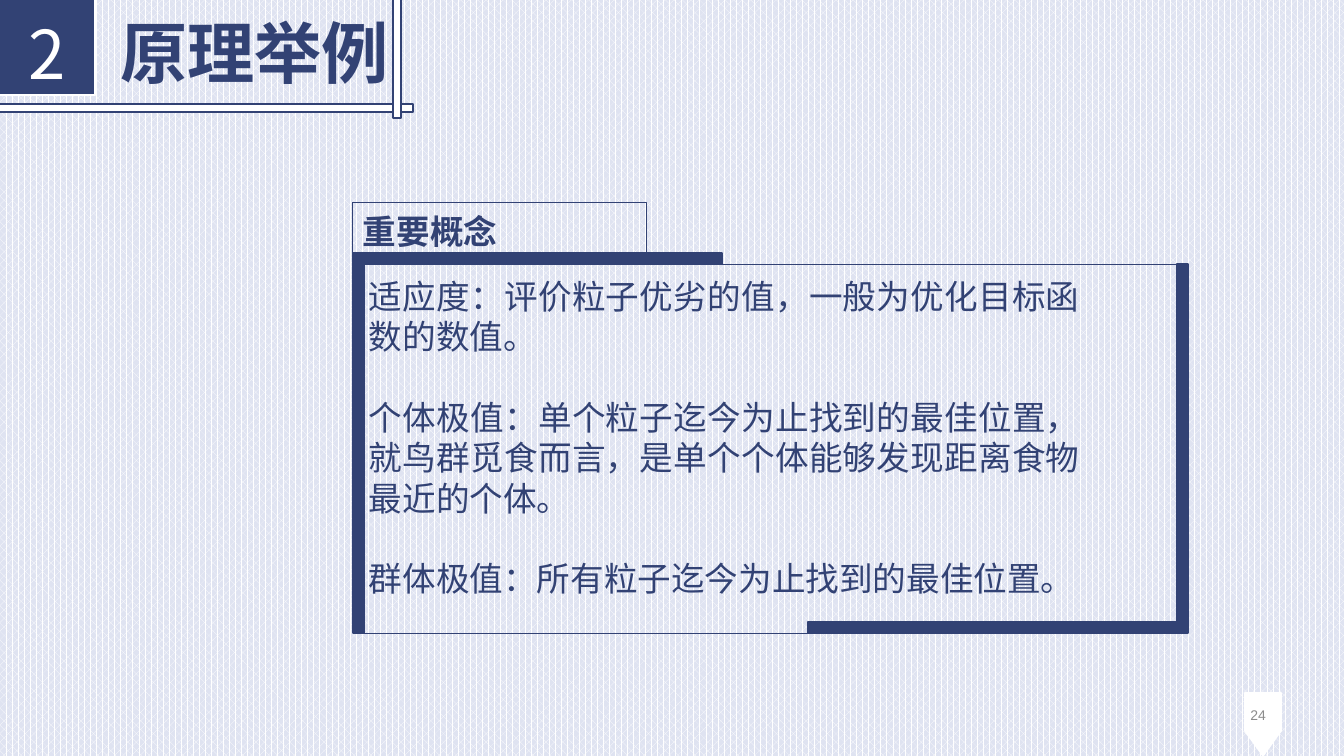
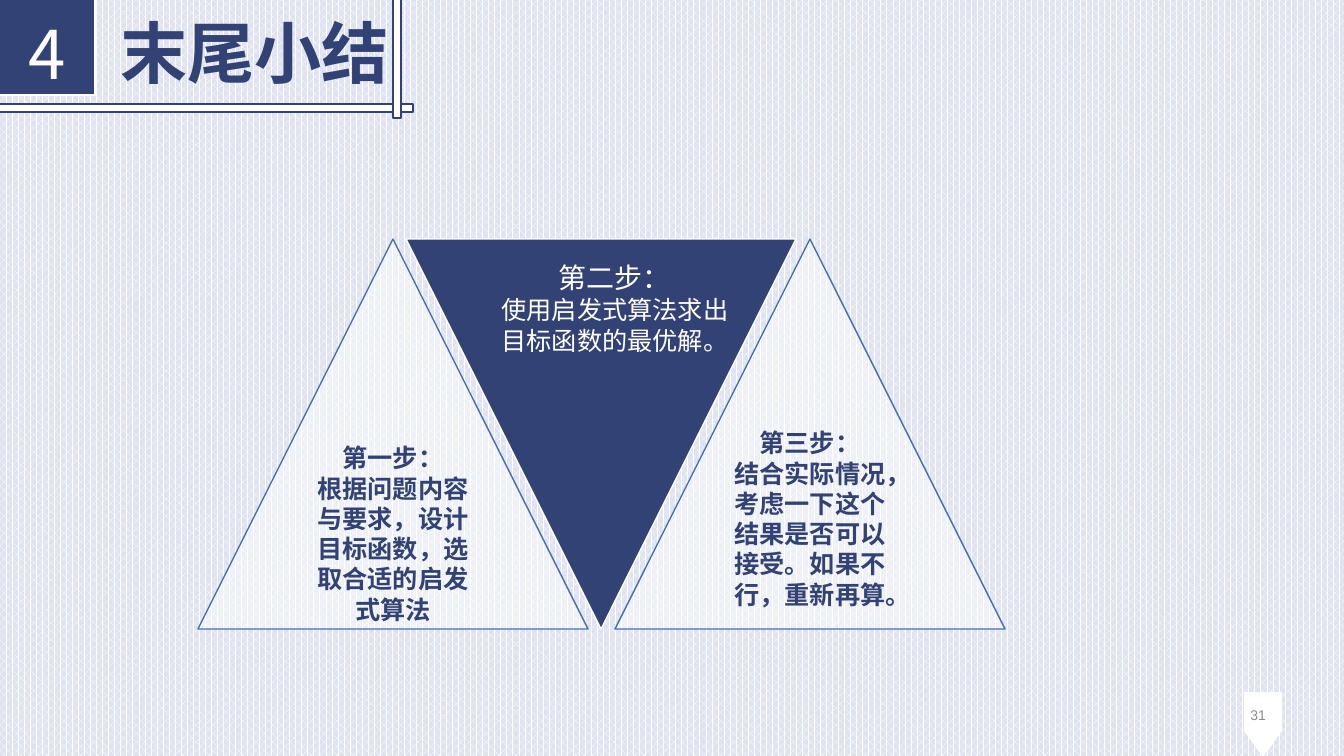
from pptx import Presentation
from pptx.dml.color import RGBColor
from pptx.enum.dml import MSO_PATTERN
from pptx.enum.shapes import MSO_CONNECTOR, MSO_SHAPE
from pptx.enum.text import MSO_ANCHOR, PP_ALIGN
from pptx.oxml.xmlchemy import OxmlElement
from pptx.util import Emu, Pt

# Content
IDEAS = {
    "page": "24", "part": "2", "title": "原理举例",
    "label": "重要概念",
    "body": [
        "适应度：评价粒子优劣的值，一般为优化目标函数的数值。",
        "个体极值：单个粒子迄今为止找到的最佳位置，就鸟群觅食而言，是单个个体能够发现距离食物最近的个体。",
        "群体极值：所有粒子迄今为止找到的最佳位置。",
    ],
}
RECAP = {
    "page": "31", "part": "4", "title": "末尾小结",
    "steps": [
        ("第一步：", "根据问题内容与要求，设计目标函数，选取合适的启发式算法"),
        ("第二步：", "使用启发式算法求出目标函数的最优解。"),
        ("第三步：", "结合实际情况，考虑一下这个结果是否可以接受。如果不行，重新再算。"),
    ],
}

# Shared look
NAVY, WHITE, BLUE, GREY, PALE = "324274", "FFFFFF", "476FAA", "8C8C8C", "DFE3F1"
SANS, ARIAL = "Noto Sans CJK SC", "Arial"
RECT, TRI = MSO_SHAPE.RECTANGLE, MSO_SHAPE.ISOSCELES_TRIANGLE
WIDE, HIGH = 1344, 756
SCALE = 12192000 / WIDE


def px(num):
    return Emu(round(num * SCALE))


def tint(code):
    return RGBColor.from_string(code)


def write(shape, paras, size=24, color=NAVY, bold=False, face=SANS,
          align=PP_ALIGN.LEFT, mid=False, gap=0, lead=1.2, foot=0):
    """Each entry of paras is a text or a (text, size) pair."""
    frame = shape.text_frame
    frame.word_wrap = True
    frame.vertical_anchor = MSO_ANCHOR.MIDDLE if mid else MSO_ANCHOR.TOP
    drop = size // 8 if lead else 0
    frame.margin_left = frame.margin_right = px(10)
    frame.margin_top = px(5 + drop)
    frame.margin_bottom = px(max(0, 5 - drop) + foot)
    for i, item in enumerate(paras):
        text, pts = item if isinstance(item, tuple) else (item, size)
        para = frame.add_paragraph() if i else frame.paragraphs[0]
        para.alignment = align
        if lead:
            para.line_spacing = Pt(round(pts * lead, 1))
        if i and gap:
            para.space_before = Pt(gap)
        run = para.add_run()
        run.text = text
        font = run.font
        font.size, font.bold, font.name = Pt(pts), bold, face
        font.color.rgb = tint(color)
        east = OxmlElement("a:ea")
        east.set("typeface", face)
        run._r.get_or_add_rPr().append(east)


def draw(slide, kind, box, fill=None, line=NAVY, width=1, turn=0, alpha=None):
    shape = slide.shapes.add_shape(kind, *map(px, box))
    shape.shadow.inherit = False
    shape.rotation = turn
    if fill:
        shape.fill.solid()
        shape.fill.fore_color.rgb = tint(fill)
    else:
        shape.fill.background()
    if alpha:
        node = OxmlElement("a:alpha")
        node.set("val", str(alpha * 1000))
        shape.fill._xPr.solidFill.srgbClr.append(node)
    shape.line.color.rgb = tint(line)
    shape.line.width = Pt(width)
    return shape


def note(slide, box, paras, **style):
    write(slide.shapes.add_textbox(*map(px, box)), paras, **style)


def rule(slide, left, right, y):
    line = slide.shapes.add_connector(
        MSO_CONNECTOR.STRAIGHT, px(left), px(y), px(right), px(y))
    line.line.color.rgb = tint(NAVY)
    line.line.width = Pt(0.5)
    line._element.spPr.append(OxmlElement("a:effectLst"))
    return line


def start(deck, data):
    """Page tag, part number, title and crossed bars."""
    slide = deck.slides.add_slide(deck.slide_layouts[6])
    draw(slide, RECT, (1245, 693, 36, 38), WHITE, WHITE)
    draw(slide, TRI, (1245, 731, 36, 25), WHITE, WHITE, turn=180)
    note(slide, (979, 697, 297, 35), [data["page"]], size=10, color=GREY,
         face=ARIAL, align=PP_ALIGN.RIGHT, mid=True, lead=0)
    part = draw(slide, RECT, (-1, -1, 96, 96), NAVY, WHITE)
    write(part, [data["part"]], size=48, color=WHITE,
          align=PP_ALIGN.CENTER, mid=True)
    note(slide, (110, 0, 431, 92), [data["title"]], size=48, bold=True)
    for bar in [(-1, 104, 414, 8), (393, -3, 8, 121)]:
        draw(slide, RECT, bar, WHITE)
    return slide


def ideas(deck, data):
    slide = start(deck, data)
    left, top, right, base = 353, 264, 1188, 633
    long, thin = base - top, 11
    note(slide, (359, 268, 731, 377), data["body"],
         align=PP_ALIGN.JUSTIFY, gap=28.8)
    # Heavy bars of the frame
    bars = [
        (left, top, thin, long),
        (right - thin, top, thin, long),
        (left, top - thin, long, thin),
        (right - thin - long, base - thin, long, thin),
    ]
    side = [draw(slide, RECT, bar, NAVY) for bar in bars][0]
    # Thin rules close the frame
    rule(slide, left + 6, 826, base).begin_connect(side, 2)
    rule(slide, 710, right - thin, top)
    label = draw(slide, RECT, (left, 203, 294, 50), width=0.75)
    write(label, [data["label"]], bold=True)


def recap(deck, data):
    slide = start(deck, data)
    left, top, side, pitch = 198, 239, 390, 417
    for i, (head, text) in enumerate(data["steps"]):
        box = (left + i * pitch // 2, top, side, side)
        if i % 2:
            # Middle step points down, its text lies on top
            draw(slide, TRI, box, NAVY, WHITE, turn=180)
            note(slide, (481, 254, 268, 139), [(head, 20), text], size=18,
                 color=WHITE, align=PP_ALIGN.CENTER)
        else:
            shape = draw(slide, TRI, box, WHITE, BLUE, alpha=48)
            write(shape, [head, text], size=18, bold=True, mid=True,
                  align=PP_ALIGN.CENTER, foot=30 if i else 0)


def main():
    deck = Presentation()
    deck.slide_width, deck.slide_height = px(WIDE), px(HIGH)
    back = deck.slide_master.background.fill
    back.patterned()
    back.pattern = MSO_PATTERN.PERCENT_60
    back.fore_color.rgb = tint(WHITE)
    back.back_color.rgb = tint(PALE)
    ideas(deck, IDEAS)
    recap(deck, RECAP)
    deck.save("out.pptx")


if __name__ == "__main__":
    main()
